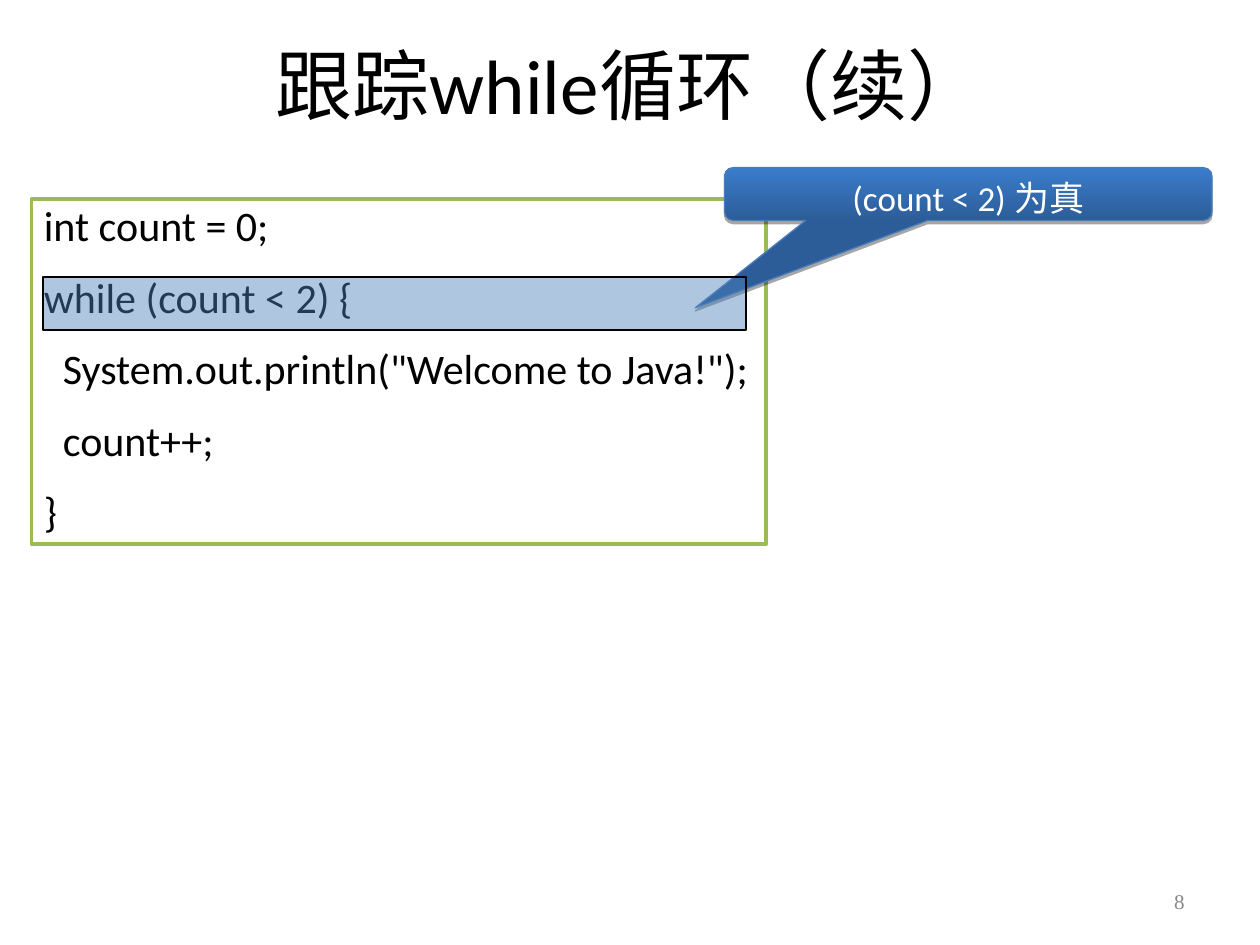
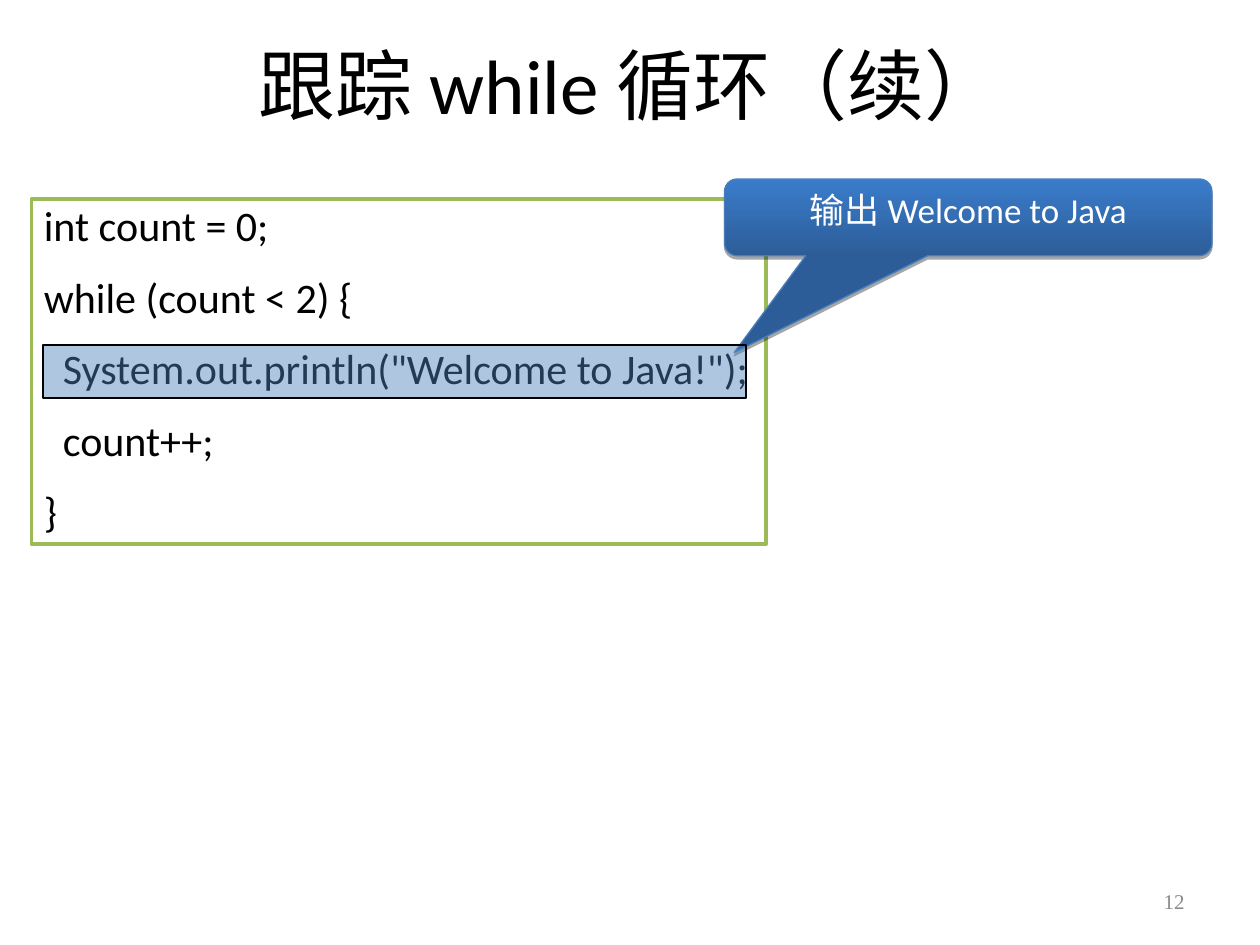
"""Build two slides that trace a while loop step by step."""
import pptx
import pptx.util
import pptx.dml.color
import pptx.enum.shapes
import pptx.enum.text
import pptx.oxml
import pptx.oxml.ns

Inches = pptx.util.Inches
Pt = pptx.util.Pt
RGBColor = pptx.dml.color.RGBColor
SHAPE = pptx.enum.shapes.MSO_SHAPE
ALIGN = pptx.enum.text.PP_ALIGN
ANCHOR = pptx.enum.text.MSO_ANCHOR

BLACK = RGBColor(0x00, 0x00, 0x00)
WHITE = RGBColor(0xFF, 0xFF, 0xFF)
GRAY = RGBColor(0x89, 0x89, 0x89)
GREEN = RGBColor(0x9B, 0xBB, 0x59)
BLUE = RGBColor(0x4F, 0x81, 0xBD)
EDGE = RGBColor(0x4A, 0x7E, 0xBB)
DARK = RGBColor(0x2C, 0x5D, 0x98)
LIGHT = RGBColor(0x3A, 0x7C, 0xCB)

NS = pptx.oxml.ns.nsdecls("a")
SHADOW = (f'<a:outerShdw {NS} blurRad="0" dist="{Pt(1.8)}" dir="5400000" rotWithShape="0">'
          '<a:srgbClr val="000000"><a:alpha val="35000"/></a:srgbClr></a:outerShdw>')
ALPHA = f'<a:alpha {NS} val="45000"/>'

CODE = [
    "int count = 0;",
    "while (count < 2) {",
    '  System.out.println("Welcome to Java!");',
    "  count++;",
    "}",
]

STEPS = [
    {"title": "跟踪while循环（续）", "page": "8", "note": "(count < 2) 为真",
     "top": 1.33, "tall": 0.42, "tip": (-0.56, 2.15), "mark": 2.2},
    {"title": "跟踪 while 循环（续）", "page": "12", "note": "输出 Welcome to Java",
     "top": 1.42, "tall": 0.61, "tip": (-0.48, 1.76), "mark": 2.74},
]


def add_box(slide, kind, place, line, width):
    """Add a shape with a plain outline and no shadow."""
    box = slide.shapes.add_shape(kind, *map(Inches, place))
    box.shadow.inherit = False
    box.line.color.rgb = line
    box.line.width = Pt(width)
    return box


def write(frame, lines, size, color, align, name="Calibri"):
    """Fill a text frame with one paragraph for each line."""
    frame.word_wrap = True
    frame.text = "\n".join(lines)
    for para in frame.paragraphs:
        para.alignment = align
        para.font.name = name
        para.font.size = Pt(size)
        para.font.color.rgb = color


deck = pptx.Presentation()
deck.slide_width = Inches(10)
deck.slide_height = Inches(7.5)

for step in STEPS:
    slide = deck.slides.add_slide(deck.slide_layouts[5])

    title = slide.shapes.title
    title.left, title.top = Inches(0.75), Inches(0.25)
    title.width, title.height = Inches(8.5), Inches(0.83)
    write(title.text_frame, [step["title"]], 44, BLACK, ALIGN.CENTER)
    title.text_frame.vertical_anchor = ANCHOR.MIDDLE

    page = slide.shapes.add_textbox(Inches(7.17), Inches(6.95), Inches(2.33), Inches(0.4))
    write(page.text_frame, [step["page"]], 12, GRAY, ALIGN.RIGHT, "Times New Roman")
    page.text_frame.vertical_anchor = ANCHOR.MIDDLE

    code = add_box(slide, SHAPE.RECTANGLE, (0.25, 1.58, 5.83, 2.74), GREEN, 2)
    code.fill.solid()
    code.fill.fore_color.rgb = WHITE
    write(code.text_frame, CODE, 24, BLACK, ALIGN.LEFT)
    code.text_frame.vertical_anchor = ANCHOR.TOP
    for row, para in enumerate(code.text_frame.paragraphs):
        para.line_spacing = 0.9
        if row:
            para.space_before = Pt(15)

    note = add_box(slide, SHAPE.ROUNDED_RECTANGULAR_CALLOUT,
                   (5.75, step["top"], 3.87, step["tall"]), EDGE, 0.75)
    note.adjustments[0], note.adjustments[1] = step["tip"]
    note.fill.gradient()
    note.fill.gradient_angle = 90
    for stop, color in zip(note.fill.gradient_stops, (DARK, LIGHT)):
        stop.color.rgb = color
    effects = note.element.spPr.find(pptx.oxml.ns.qn("a:effectLst"))
    effects.append(pptx.oxml.parse_xml(SHADOW))
    write(note.text_frame, [step["note"]], 20, WHITE, ALIGN.CENTER)
    note.text_frame.vertical_anchor = ANCHOR.TOP

    mark = add_box(slide, SHAPE.RECTANGLE, (0.34, step["mark"], 5.58, 0.42), BLACK, 1)
    mark.fill.solid()
    mark.fill.fore_color.rgb = BLUE
    tint = mark.element.spPr.find(pptx.oxml.ns.qn("a:solidFill"))[0]
    tint.append(pptx.oxml.parse_xml(ALPHA))

deck.save("out.pptx")
